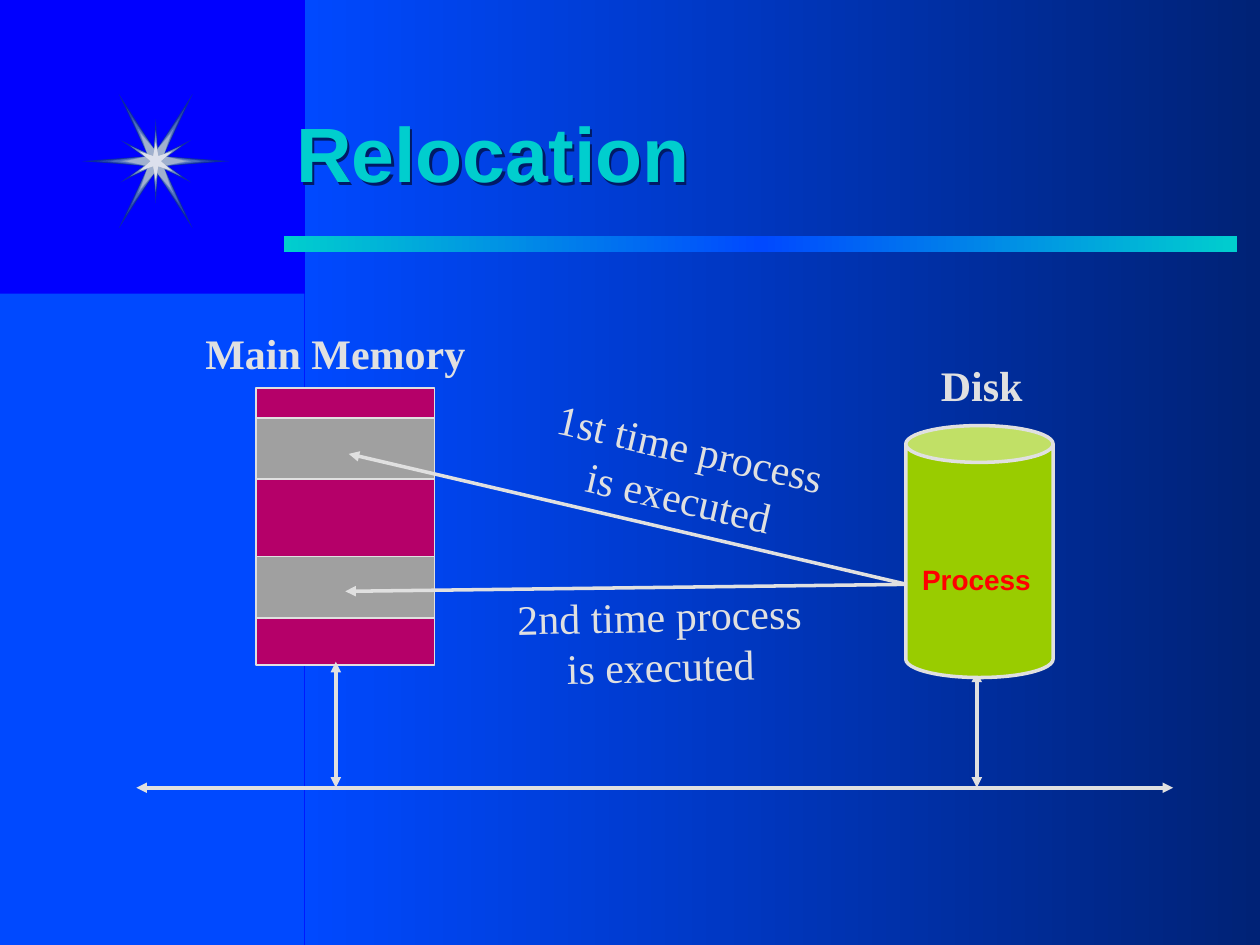
from dataclasses import dataclass

from lxml import etree
from pptx import Presentation
from pptx.dml.color import RGBColor
from pptx.enum.shapes import MSO_CONNECTOR, MSO_SHAPE
from pptx.enum.text import MSO_ANCHOR, MSO_AUTO_SIZE, PP_ALIGN
from pptx.oxml.ns import qn
from pptx.shapes.autoshape import Shape
from pptx.slide import Slide
from pptx.util import Cm, Pt

RECTANGLE = MSO_SHAPE.RECTANGLE
CAN = MSO_SHAPE.CAN
STRAIGHT = MSO_CONNECTOR.STRAIGHT
LEFT = PP_ALIGN.LEFT
CENTER = PP_ALIGN.CENTER
TOP = MSO_ANCHOR.TOP
MIDDLE = MSO_ANCHOR.MIDDLE
FIT_SHAPE = MSO_AUTO_SIZE.SHAPE_TO_FIT_TEXT


@dataclass(frozen=True)
class Theme:
    background: str = "0000FF"
    panel: str = "0049FF"
    panel_dark: str = "002276"
    accent: str = "00CECE"
    ink: str = "E0E0E0"
    memory: str = "B50069"
    block: str = "A0A0A0"
    disk: str = "99CC00"
    process: str = "FF0000"
    shadow: str = "001A66"
    sans: str = "Arial"
    serif: str = "Times New Roman"
    title_size: int = 44
    label_size: int = 24
    process_size: int = 16
    thin: int = 1
    thick: int = 2


THEME = Theme()


@dataclass(frozen=True)
class Box:
    left: float
    top: float
    width: float
    height: float

    def lengths(self) -> tuple[Cm, Cm, Cm, Cm]:
        return Cm(self.left), Cm(self.top), Cm(self.width), Cm(self.height)


@dataclass(frozen=True)
class Label:
    lines: tuple[str, ...]
    box: Box
    size: int = THEME.label_size
    font: str = THEME.serif
    color: str = THEME.ink
    bold: bool = False
    align: PP_ALIGN = CENTER
    anchor: MSO_ANCHOR = TOP
    rotation: float = 0
    wrap: bool = False


@dataclass(frozen=True)
class Arrow:
    start: tuple[float, float]
    end: tuple[float, float]
    double: bool = True


@dataclass(frozen=True)
class Star:
    reach: float
    color: str
    diagonal: bool


@dataclass(frozen=True)
class Load:
    block_top: float
    arrow: Arrow
    label: Label


STAR_CENTER = (3.14, 3.25)
STARS = (
    Star(1.49, "0B2B9E", True),
    Star(0.71, "102FA1", False),
    Star(1.19, "2645AC", True),
    Star(0.52, "4464B9", False),
    Star(0.97, "4464B9", True),
    Star(0.5, "4E6EBC", False),
    Star(0.9, "4E6EBC", True),
    Star(0.47, "5A79C0", False),
    Star(0.42, "7992C6", False),
    Star(0.72, "7992C6", True),
    Star(0.61, "A0B0CE", True),
    Star(0.33, "D9D9D9", False),
    Star(0.3, "DCE0ED", False),
)

TITLE = Label(("Relocation",), Box(5.72, 1.47, 19.25, 3.18), THEME.title_size, THEME.sans,
              THEME.accent, bold=True, align=LEFT, anchor=MIDDLE, wrap=True)
MEMORY_LABEL = Label(("Main Memory",), Box(3.66, 6.48, 6.2, 1.27), bold=True)
DISK_LABEL = Label(("Disk",), Box(18.51, 7.12, 2.56, 1.27), bold=True)
PROCESS_LABEL = Label(("Process",), Box(18.2, 11.21, 2.97, 0.91), THEME.process_size, THEME.sans,
                      THEME.process, bold=True, wrap=True)

MEMORY = Box(5.16, 7.82, 3.6, 5.59)
DISK = Box(18.26, 8.58, 2.97, 5.08)
BLOCK_HEIGHT = 1.24
BUS_Y = 15.88
BUS = Arrow((2.75, BUS_Y), (23.65, BUS_Y))
MEMORY_LINK = Arrow((6.77, 13.34), (6.77, BUS_Y))
DISK_LINK = Arrow((19.69, 13.54), (19.69, BUS_Y))
PROCESS_EDGE = (18.28, 11.78)
LOADS = (
    Load(11.22, Arrow(PROCESS_EDGE, (6.96, 11.92), double=False),
         Label(("2nd time process", "is executed"), Box(10.18, 11.77, 6.25, 2.29), rotation=-1.3)),
    Load(8.42, Arrow(PROCESS_EDGE, (7.03, 9.15), double=False),
         Label(("1st time process", "is executed"), Box(10.82, 8.38, 5.97, 2.29), rotation=13.1)),
)


def rgb(color: str) -> RGBColor:
    return RGBColor.from_string(color)


def paint(shape: Shape, fill: str, line_width: int = 0) -> None:
    shape.shadow.inherit = False
    shape.fill.solid()
    shape.fill.fore_color.rgb = rgb(fill)
    if line_width:
        shape.line.color.rgb = rgb(THEME.ink)
        shape.line.width = Pt(line_width)
    else:
        shape.line.fill.background()


def add_block(slide: Slide, box: Box, fill: str, line_width: int = 0,
              kind: MSO_SHAPE = RECTANGLE) -> Shape:
    shape = slide.shapes.add_shape(kind, *box.lengths())
    paint(shape, fill, line_width)
    return shape


def add_gradient(slide: Slide, box: Box, colors: tuple[str, ...]) -> None:
    shape = add_block(slide, box, colors[0])
    shape.fill.gradient()
    shape.fill.gradient_angle = 0
    stops = next(shape._element.spPr.iter(qn("a:gsLst")))
    for stop in list(stops):
        stops.remove(stop)
    for index, color in enumerate(colors):
        position = 100000 * index // (len(colors) - 1)
        stop = etree.SubElement(stops, qn("a:gs"), pos=str(position))
        etree.SubElement(stop, qn("a:srgbClr"), val=color)


def add_star(slide: Slide, star: Star) -> None:
    reach = star.reach
    if star.diagonal:
        quarter = [(reach, 0), (0.15, 0.1), (reach * 0.5, reach * 0.91), (0, 0.2)]
    else:
        quarter = [(0.1, 0), (reach, reach * 0.6), (0.05, 0.1), (0, reach * 1.2)]
    half = quarter + [(-x, y) for x, y in reversed(quarter[:-1])]
    outline = half + [(x, -y) for x, y in reversed(half[1:-1])]
    points = [(Cm(STAR_CENTER[0] + x), Cm(STAR_CENTER[1] + y)) for x, y in outline]
    builder = slide.shapes.build_freeform(*points[0])
    builder.add_line_segments(points[1:], close=True)
    paint(builder.convert_to_shape(), star.color)


def add_arrow(slide: Slide, arrow: Arrow) -> None:
    ends = [Cm(value) for value in arrow.start + arrow.end]
    connector = slide.shapes.add_connector(STRAIGHT, *ends)
    connector.line.color.rgb = rgb(THEME.ink)
    connector.line.width = Pt(THEME.thick)
    line = connector.line._get_or_add_ln()
    for name in ("a:headEnd", "a:tailEnd") if arrow.double else ("a:tailEnd",):
        etree.SubElement(line, qn(name), type="triangle")
    etree.SubElement(connector._element.spPr, qn("a:effectLst"))


def add_label(slide: Slide, label: Label) -> Shape:
    shape = slide.shapes.add_textbox(*label.box.lengths())
    shape.rotation = label.rotation
    frame = shape.text_frame
    frame.word_wrap = label.wrap
    frame.vertical_anchor = label.anchor
    if label.anchor == TOP:
        frame.auto_size = FIT_SHAPE
    frame.text = "\n".join(label.lines)
    for paragraph in frame.paragraphs:
        paragraph.alignment = label.align
        paragraph.font.name = label.font
        paragraph.font.size = Pt(label.size)
        paragraph.font.bold = label.bold
        paragraph.font.color.rgb = rgb(label.color)
    return shape


def add_text_shadow(shape: Shape) -> None:
    effects = etree.SubElement(shape._element.spPr, qn("a:effectLst"))
    shadow = etree.SubElement(effects, qn("a:outerShdw"), dist="25400", dir="2700000")
    etree.SubElement(shadow, qn("a:srgbClr"), val=THEME.shadow)


def main() -> None:
    presentation = Presentation()
    presentation.slide_width, presentation.slide_height = Cm(25.4), Cm(19.05)
    slide = presentation.slides.add_slide(presentation.slide_layouts[6])
    slide.background.fill.solid()
    slide.background.fill.fore_color.rgb = rgb(THEME.background)

    add_block(slide, Box(0, 5.92, 6.14, 13.13), THEME.panel)
    add_gradient(slide, Box(6.14, 0, 19.26, 19.05), (THEME.panel, THEME.panel_dark))
    add_gradient(slide, Box(5.73, 4.76, 19.21, 0.32), (THEME.accent, THEME.panel, THEME.accent))
    for star in STARS:
        add_star(slide, star)
    add_text_shadow(add_label(slide, TITLE))

    add_arrow(slide, BUS)
    add_block(slide, MEMORY, THEME.memory, THEME.thin)
    add_arrow(slide, MEMORY_LINK)
    add_label(slide, MEMORY_LABEL)
    add_label(slide, DISK_LABEL)
    add_arrow(slide, DISK_LINK)
    disk = add_block(slide, DISK, THEME.disk, THEME.thick, CAN)
    disk.adjustments[0] = 0.25
    add_label(slide, PROCESS_LABEL)
    for load in LOADS:
        block = Box(MEMORY.left, load.block_top, MEMORY.width, BLOCK_HEIGHT)
        add_block(slide, block, THEME.block, THEME.thin)
        add_arrow(slide, load.arrow)
        add_label(slide, load.label)

    presentation.save("out.pptx")


if __name__ == "__main__":
    main()
